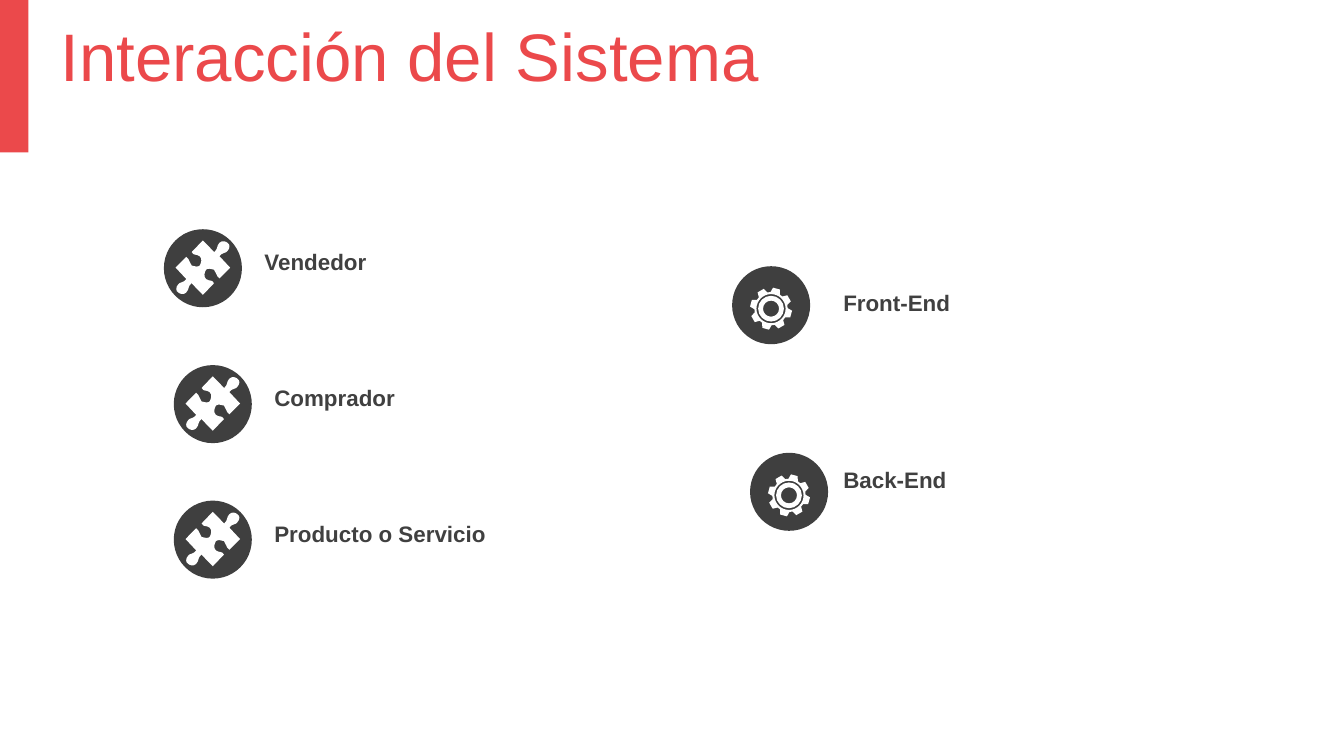
from math import cos, radians, sin, sqrt

from pptx import Presentation
from pptx.dml.color import RGBColor
from pptx.enum.shapes import MSO_SHAPE
from pptx.enum.text import MSO_ANCHOR, MSO_AUTO_SIZE, PP_ALIGN
from pptx.oxml.ns import qn
from pptx.util import Pt

RED = RGBColor(0xEB, 0x49, 0x4B)
DARK = RGBColor(0x3F, 0x3F, 0x3F)
GREY = RGBColor(0x40, 0x40, 0x40)
WHITE = RGBColor(0xFF, 0xFF, 0xFF)
RECT = MSO_SHAPE.RECTANGLE
OVAL = MSO_SHAPE.OVAL
MIDDLE = MSO_ANCHOR.MIDDLE
FIXED = MSO_AUTO_SIZE.NONE
LEFT = PP_ALIGN.LEFT

FONT = "Arial"
DISC = 41.8
ACTORS = [
    ("Vendedor", 87.8, 122.8),
    ("Comprador", 93.1, 195.6),
    ("Producto o Servicio", 93.1, 268.2),
]
LAYERS = [
    ("Front-End", 392.2, 142.6, 151.2),
    ("Back-End", 401.8, 242.6, 246.2),
]
HALF = [
    [(8.9, -13.3)],
    [(10.3, -14.8), (12.5, -14), (13.2, -13.3)],
    [(14.6, -12.6), (14.6, -10.4), (13.2, -9)],
    [(12.5, -7.6), (10.3, -8.3), (8.9, -6.1)],
    [(14.6, 0)],
    [(8.9, 5.8)],
    [(6.7, 4), (7.4, 2.5), (6, 1.1)],
    [(4.5, 0.4), (2.4, 0.4), (1.7, 1.1)],
    [(0.9, 2.5), (0.2, 4.7), (1.7, 6.1)],
    [(3.8, 7.6), (4.5, 6.1), (6, 8.3)],
    [(0, 14.6)],
    [(-6.1, 8.3)],
    [(-8.4, 10.4), (-7, 11.2), (-8.9, 13.3)],
]


def paint(shape, color):
    shape.fill.solid()
    shape.fill.fore_color.rgb = color
    shape.line.fill.background()
    shape.shadow.inherit = False


def add_block(slide, kind, x, y, w, h, color):
    shape = slide.shapes.add_shape(kind, Pt(x), Pt(y), Pt(w), Pt(h))
    paint(shape, color)


def style(frame, size, color, bold):
    for run in frame.paragraphs[0].runs:
        run.font.name = FONT
        run.font.size = Pt(size)
        run.font.bold = bold
        run.font.color.rgb = color


def add_title(slide, text):
    title = slide.shapes.title
    title.left, title.top = Pt(25.2), Pt(6.5)
    title.width, title.height = Pt(566.6), Pt(45.4)
    frame = title.text_frame
    frame.text = text
    frame.auto_size = FIXED
    frame.vertical_anchor = MIDDLE
    frame.paragraphs[0].alignment = LEFT
    style(frame, 36, RED, False)


def add_label(slide, text, x, y):
    box = slide.shapes.add_textbox(Pt(x), Pt(y), Pt(141.8), Pt(21.6))
    frame = box.text_frame
    frame.word_wrap = True
    frame.text = text
    style(frame, 12, GREY, True)


def bend(shape, loops):
    lines = iter(list(shape.element.iter(qn("a:lnTo"))))
    for loop in loops:
        for part in loop[1:]:
            first, *rest = [next(lines) for _ in part]
            if rest:
                first.tag = qn("a:cubicBezTo")
            for line in rest:
                first.append(line[0])
                line.getparent().remove(line)


def add_outline(slide, x, y, loops):
    pen = None
    for loop in loops:
        dots = [(Pt(x + a), Pt(y + b)) for part in loop for a, b in part]
        if pen is None:
            pen = slide.shapes.build_freeform(*dots[0], scale=1.0)
        else:
            pen.move_to(*dots[0])
        pen.add_line_segments(dots[1:], close=True)
    shape = pen.convert_to_shape()
    bend(shape, loops)
    paint(shape, WHITE)
    return shape


def polar(radius, angle):
    turn = radians(angle)
    return radius * sin(turn), -radius * cos(turn)


def ring(r):
    k = 0.55 * r
    arcs = [[(r, -k), (k, -r), (0, -r)], [(-k, -r), (-r, -k), (-r, 0)]]
    return [[(r, 0)]] + arcs + turned(arcs)


def turned(parts):
    return [[(-x, -y) for x, y in part] for part in parts]


def gear_loops():
    tooth = [(8.9, -17), (11.3, -9.5), (11.3, 9.5), (8.9, 17)]
    teeth = [[polar(r, mid + a)] for mid in range(15, 375, 45) for r, a in tooth]
    return [ring(4.3), ring(6.9), ring(7.8), teeth]


def piece_loop():
    whole = HALF + turned(HALF[1:])
    return [[((x + y) / sqrt(2), (y - x) / sqrt(2)) for x, y in part] for part in whole]


def add_piece(slide, x, y):
    add_block(slide, OVAL, x, y, DISC, DISC, DARK)
    shape = add_outline(slide, x + DISC / 2, y + DISC / 2 - 0.3, [piece_loop()])
    shape.rotation = 45


def add_gear(slide, x, y):
    add_block(slide, OVAL, x, y, DISC, DISC, DARK)
    add_outline(slide, x + DISC / 2, y + DISC / 2 + 1.9, gear_loops())


def main():
    deck = Presentation()
    deck.slide_width, deck.slide_height = Pt(720), Pt(405)
    slide = deck.slides.add_slide(deck.slide_layouts[5])
    add_block(slide, RECT, 0, 0, 15.2, 81.6, RED)
    add_title(slide, "Interacción del Sistema")
    for text, x, y in ACTORS:
        add_piece(slide, x, y)
        add_label(slide, text, x + 46.8, y + 6.7)
    for text, x, y, top in LAYERS:
        add_gear(slide, x, y)
        add_label(slide, text, 444.7, top)
    deck.save("out.pptx")


if __name__ == "__main__":
    main()
